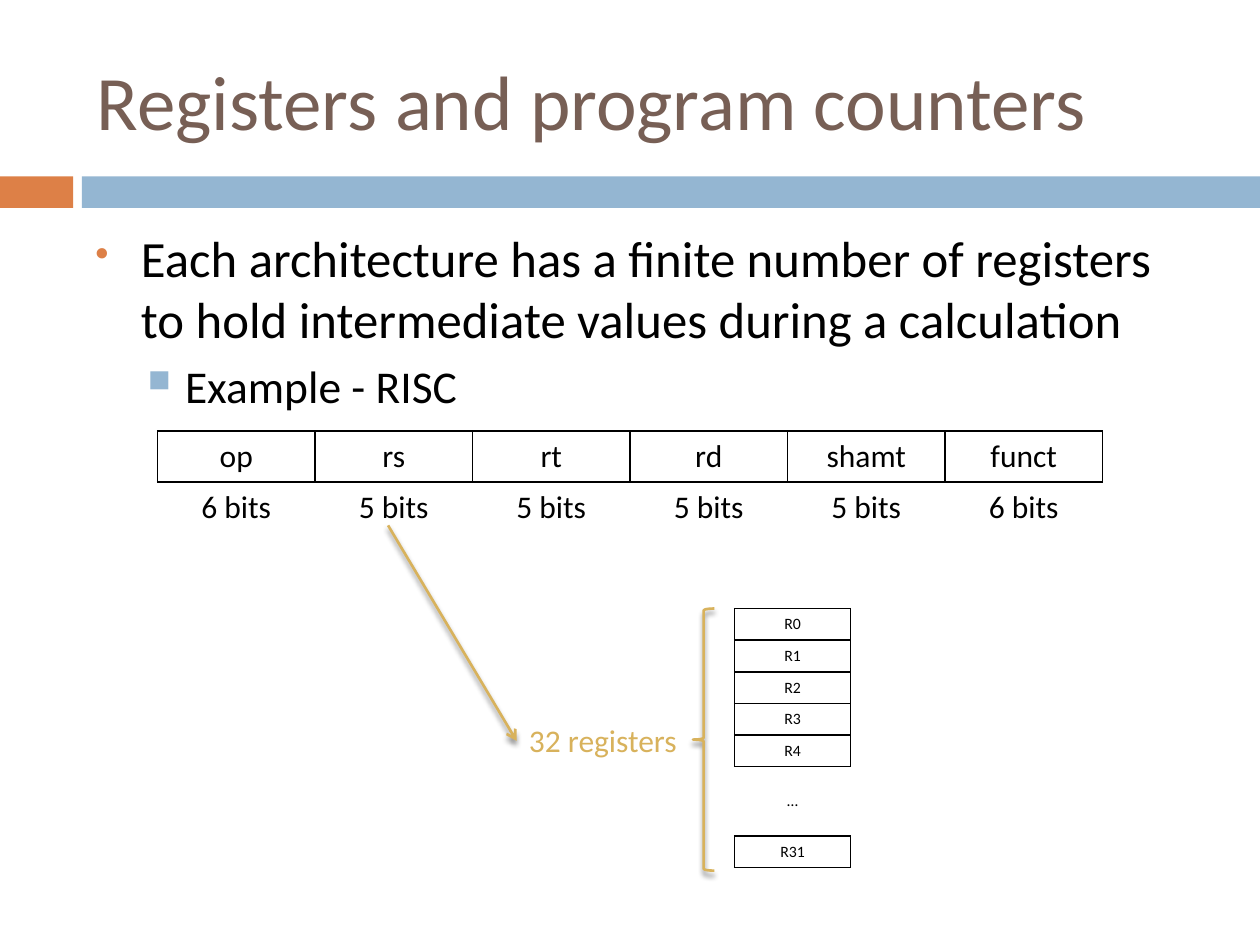
from lxml import etree
from pptx import Presentation
from pptx.dml.color import RGBColor
from pptx.enum.shapes import MSO_CONNECTOR, MSO_SHAPE
from pptx.enum.text import MSO_ANCHOR, PP_ALIGN
from pptx.oxml.ns import qn
from pptx.util import Inches, Pt

STRAIGHT = MSO_CONNECTOR.STRAIGHT
RECTANGLE = MSO_SHAPE.RECTANGLE
LEFT_BRACE = MSO_SHAPE.LEFT_BRACE
MIDDLE = MSO_ANCHOR.MIDDLE
TOP = MSO_ANCHOR.TOP
CENTER = PP_ALIGN.CENTER

FONT = "Calibri"
COLORS = {
    "title": "775F55",
    "text": "000000",
    "orange": "DD8047",
    "blue": "94B6D2",
    "gold": "D8B25C",
}
FIELDS = ["op", "rs", "rt", "rd", "shamt", "funct"]
FIELD_SIZES = ["6 bits", "5 bits", "5 bits", "5 bits", "5 bits", "6 bits"]
REGISTERS = ["R0", "R1", "R2", "R3", "R4", "…", "R31"]


def rgb(color):
    return RGBColor.from_string(COLORS[color])


def child(parent, tag, **attributes):
    return etree.SubElement(parent, qn(tag), attributes)


def style_paragraph(paragraph, text, size, color):
    paragraph.text = text
    font = paragraph.runs[0].font
    font.name = FONT
    font.size = Pt(size)
    font.color.rgb = rgb(color)


def add_band(slide, left, width, color):
    band = slide.shapes.add_shape(
        RECTANGLE, Inches(left), Inches(1.4), Inches(width), Inches(0.25))
    band.shadow.inherit = False
    band.fill.solid()
    band.fill.fore_color.rgb = rgb(color)
    band.line.fill.background()


def add_text(slide, box, anchor=TOP, wrap=True):
    frame = slide.shapes.add_textbox(*map(Inches, box)).text_frame
    frame.word_wrap = wrap
    frame.vertical_anchor = anchor
    return frame


def set_bullet(paragraph, symbol, color, percent, indent, hanging, before):
    paragraph.space_before = Pt(before)
    properties = paragraph._p.get_or_add_pPr()
    properties.set("marL", str(Inches(indent)))
    properties.set("indent", str(-Inches(hanging)))
    bullet_color = child(properties, "a:buClr")
    child(bullet_color, "a:srgbClr", val=COLORS[color])
    child(properties, "a:buSzPct", val=str(percent * 1000))
    child(properties, "a:buFont", typeface="Wingdings 2")
    child(properties, "a:buChar", char=symbol)


def set_borders(cell, visible):
    properties = cell._tc.get_or_add_tcPr()
    for side in "LRTB":
        border = child(properties, f"a:ln{side}", w=str(Pt(1)))
        if side in visible:
            fill = child(border, "a:solidFill")
            child(fill, "a:srgbClr", val=COLORS["text"])
        else:
            child(border, "a:noFill")


def add_grid(slide, left, top, column_width, row_heights, rows, size, open_row, open_sides):
    columns = len(rows[0])
    table = slide.shapes.add_table(
        len(rows), columns, Inches(left), Inches(top),
        Inches(column_width * columns), Inches(sum(row_heights))).table
    table.first_row = False
    table.horz_banding = False
    for column in table.columns:
        column.width = Inches(column_width)
    for r, (height, labels) in enumerate(zip(row_heights, rows)):
        table.rows[r].height = Inches(height)
        for c, label in enumerate(labels):
            cell = table.cell(r, c)
            set_borders(cell, open_sides if r == open_row else "LRTB")
            cell.fill.background()
            cell.vertical_anchor = MIDDLE
            paragraph = cell.text_frame.paragraphs[0]
            style_paragraph(paragraph, label, size, "text")
            paragraph.alignment = CENTER


def style_gold_line(mark):
    mark.line.color.rgb = rgb("gold")
    mark.line.width = Pt(1.5)
    effects = child(mark._element.spPr, "a:effectLst")
    shadow = child(effects, "a:outerShdw", blurRad=str(Pt(3)), dist=str(Pt(2.4)),
                   dir="5400000", rotWithShape="0")
    tint = child(shadow, "a:srgbClr", val=COLORS["text"])
    child(tint, "a:alpha", val="45000")


def add_brace(slide):
    brace = slide.shapes.add_shape(
        LEFT_BRACE, Inches(5.5), Inches(4.83), Inches(0.17), Inches(2.08))
    brace.fill.background()
    style_gold_line(brace)


def add_arrow(slide):
    arrow = slide.shapes.add_connector(
        STRAIGHT, Inches(3.08), Inches(4.17), Inches(4.1), Inches(5.88))
    style_gold_line(arrow)
    child(arrow.line._get_or_add_ln(), "a:tailEnd", type="arrow")


def main():
    prs = Presentation()
    prs.slide_width, prs.slide_height = Inches(10), Inches(7.5)
    slide = prs.slides.add_slide(prs.slide_layouts[6])

    add_band(slide, 0, 0.58, "orange")
    add_band(slide, 0.65, 9.35, "blue")

    title = add_text(slide, (0.67, 0.25, 8.92, 1.08), MIDDLE)
    style_paragraph(title.paragraphs[0], "Registers and program counters", 44, "title")

    body = add_text(slide, (0.67, 1.75, 8.92, 4.92))
    statement = body.paragraphs[0]
    style_paragraph(
        statement,
        "Each architecture has a finite number of registers "
        "to hold intermediate values during a calculation", 29, "text")
    set_bullet(statement, "◻", "orange", 60, 0.35, 0.35, 7)
    example = body.add_paragraph()
    example.level = 1
    style_paragraph(example, "Example - RISC", 26, "text")
    set_bullet(example, "□", "blue", 70, 0.7, 0.3, 5.5)

    add_grid(slide, 1.25, 3.42, 1.25, [0.405] * 2, [FIELDS, FIELD_SIZES], 18, 1, "T")
    register_heights = [0.55 if name == "…" else 0.25 for name in REGISTERS]
    add_grid(slide, 5.83, 4.83, 0.92, register_heights,
             [[name] for name in REGISTERS], 9, REGISTERS.index("…"), "TB")

    add_brace(slide)
    caption = add_text(slide, (4.1, 5.67, 1.4, 0.4), wrap=False)
    style_paragraph(caption.paragraphs[0], "32 registers", 18, "gold")
    add_arrow(slide)

    prs.save("out.pptx")


if __name__ == "__main__":
    main()
